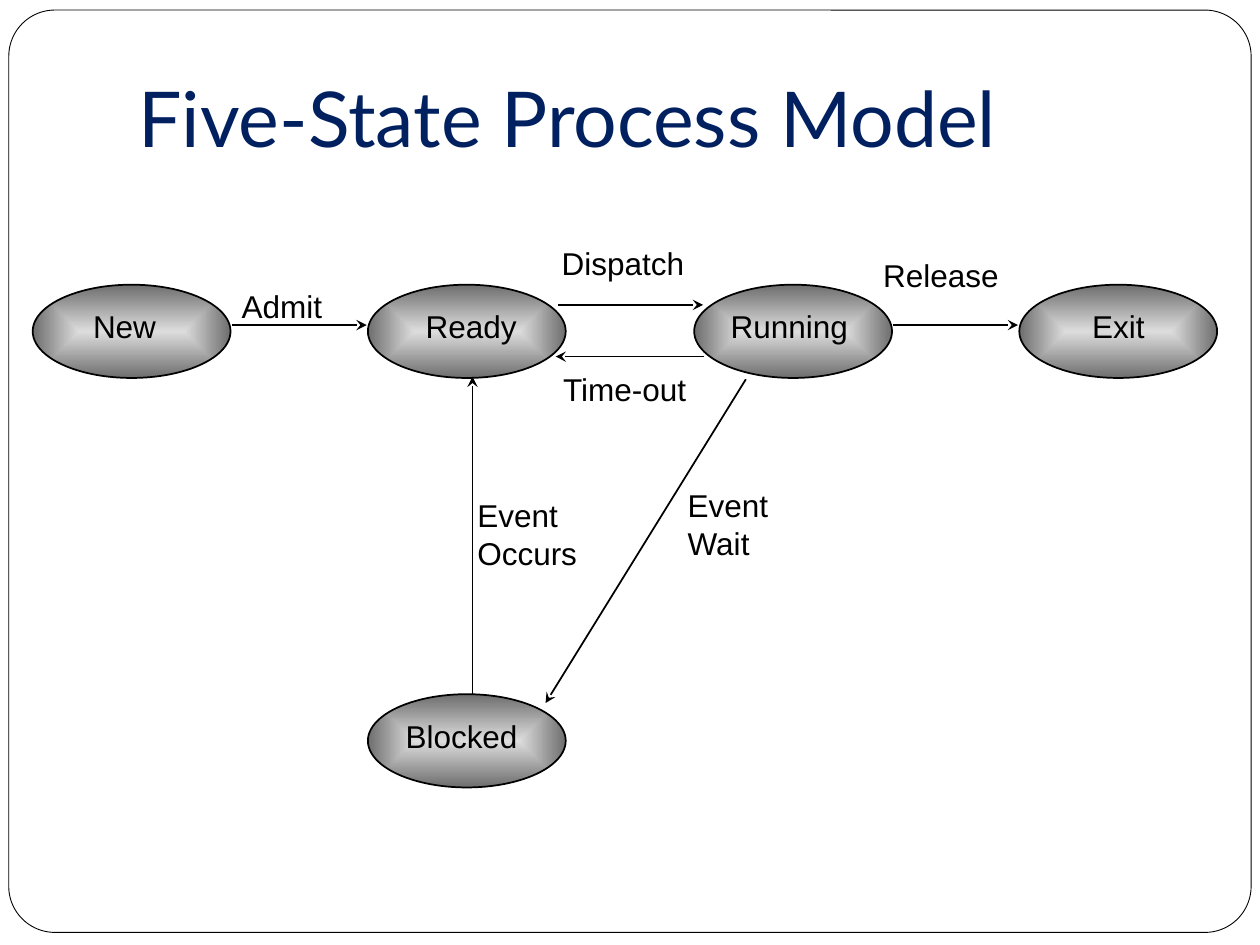
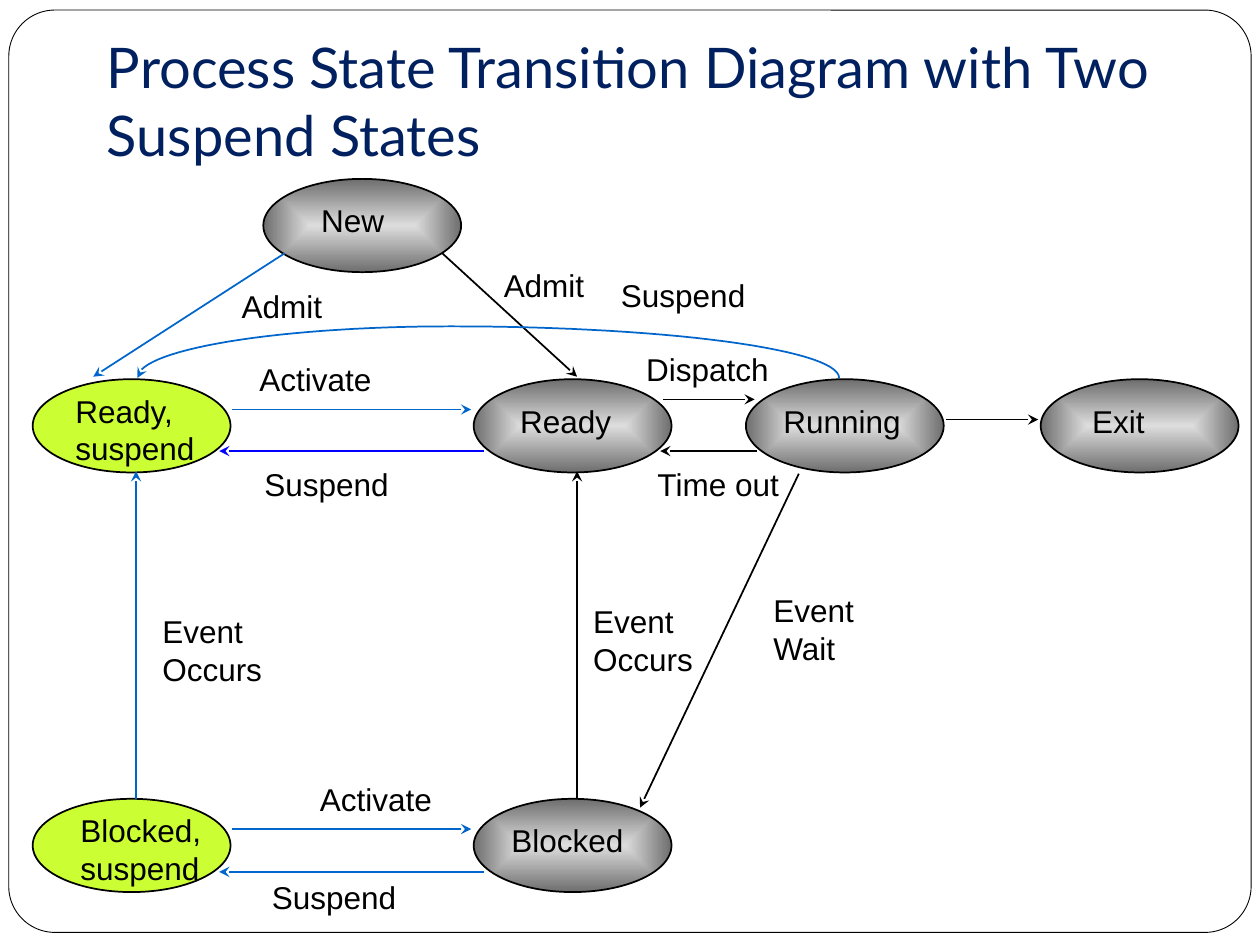
"""Builds two slides on process state models."""
import math

import pptx
import pptx.dml.color
import pptx.enum.shapes
import pptx.enum.text
import pptx.oxml
import pptx.oxml.ns
import pptx.util

SLIDE_WIDTH, SLIDE_HEIGHT = pptx.util.Inches(10), pptx.util.Inches(7.5)
COLUMNS, ROWS = 100, 75
STATE_WIDTH, STATE_HEIGHT = 15.7, 7.4
COLORS = {
    "paper": "FFFFFF",
    "ink": "000000",
    "title": "002060",
    "suspended": "CCFF33",
    "state_center": "DDDDDD",
    "state_edge": "6E6E6E",
    "suspend_flow": "0066CC",
    "ready_suspend_flow": "0000FF",
}
LABEL_WIDTHS = {
    "New": 7, "Ready": 9.2, "Running": 11.3, "Exit": 6.2, "Blocked": 10.9,
    "Ready,\nsuspend": 11.8, "Blocked,\nsuspend": 11.8, "Admit": 8.4,
    "Dispatch": 11.7, "Release": 11.2, "Time-out": 11.8, "Time out": 11.7,
    "Suspend": 11.9, "Activate": 10.9, "Event\nOccurs": 9.9, "Event\nWait": 8.4,
}


def across(columns):
    """Return the length of a number of grid columns."""
    return round(SLIDE_WIDTH * columns / COLUMNS)


def down(rows):
    """Return the length of a number of grid rows."""
    return round(SLIDE_HEIGHT * rows / ROWS)


def rgb(color):
    """Return a named colour of the palette."""
    return pptx.dml.color.RGBColor.from_string(COLORS[color])


def drawing_xml(tag, content=""):
    """Return a DrawingML element given by its opening tag and content."""
    name = tag.split()[0]
    namespace = pptx.oxml.ns.nsdecls("a")
    return pptx.oxml.parse_xml(f"<a:{tag} {namespace}>{content}</a:{name}>")


def add_text(slide, text, column, row, width, height, *, size=18, font="Arial",
             color="ink", wrap=False, anchor="TOP", fit="SHAPE_TO_FIT_TEXT"):
    """Add a text box with one paragraph for each line of text."""
    box = slide.shapes.add_textbox(across(column), down(row), across(width), down(height))
    frame = box.text_frame
    frame.word_wrap = wrap
    frame.auto_size = pptx.enum.text.MSO_AUTO_SIZE[fit]
    frame.vertical_anchor = pptx.enum.text.MSO_ANCHOR[anchor]
    frame.text = text
    for paragraph in frame.paragraphs:
        paragraph.font.size = pptx.util.Pt(size)
        paragraph.font.name = font
        paragraph.font.color.rgb = rgb(color)


def add_label(slide, text, column, row):
    """Add a diagram label sized for its words."""
    lines = text.count("\n") + 1
    add_text(slide, text, column, row, LABEL_WIDTHS[text], 1 + 3 * lines)


def add_outlined(slide, kind, column, row, width, height, line_width):
    """Add a preset shape with an ink outline and no shadow."""
    shape = slide.shapes.add_shape(
        pptx.enum.shapes.MSO_SHAPE[kind],
        across(column), down(row), across(width), down(height))
    shape.shadow.inherit = False
    shape.line.color.rgb = rgb("ink")
    shape.line.width = pptx.util.Pt(line_width)
    return shape


def fill_solid(shape, color):
    """Fill a shape with one colour."""
    shape.fill.solid()
    shape.fill.fore_color.rgb = rgb(color)


def fill_glow(shape):
    """Fill a shape with a gradient that darkens from centre to edge."""
    shape.fill.gradient()
    for stop, color in zip(shape.fill.gradient_stops, ("state_center", "state_edge")):
        stop.color.rgb = rgb(color)
    for position, stop in enumerate(shape.fill.gradient_stops):
        stop.position = position
    gradient = shape.element.spPr.find(pptx.oxml.ns.qn("a:gradFill"))
    center = '<a:fillToRect l="50000" t="50000" r="50000" b="50000"/>'
    gradient.replace(gradient.find(pptx.oxml.ns.qn("a:lin")),
                     drawing_xml('path path="rect"', center))


def add_state(slide, name, column, row, name_column, suspended=False):
    """Add a process state: an ellipse with its name."""
    ellipse = add_outlined(slide, "OVAL", column, row, STATE_WIDTH, STATE_HEIGHT, 1)
    if suspended:
        fill_solid(ellipse, "suspended")
    else:
        fill_glow(ellipse)
    add_label(slide, name, name_column, row + (0.5 if suspended else 1.3))


def style_flow(flow, color):
    """Give a line its colour, width and arrowhead."""
    flow.line.color.rgb = rgb(color)
    flow.line.width = pptx.util.Pt(1)
    outline = flow.element.spPr.find(pptx.oxml.ns.qn("a:ln"))
    outline.append(drawing_xml('tailEnd type="stealth"'))


def add_flow(slide, start, end, color="ink"):
    """Add a straight arrow between two grid points."""
    flow = slide.shapes.add_connector(
        pptx.enum.shapes.MSO_CONNECTOR.STRAIGHT,
        across(start[0]), down(start[1]), across(end[0]), down(end[1]))
    style_flow(flow, color)
    flow.element.spPr.append(drawing_xml("effectLst"))


def add_arched_flow(slide, start_column, peak_column, end_column, row, rise, color):
    """Add an arrow arching over the states as two quarter ellipses."""
    points = []
    for angle in range(0, 181, 3):
        reach = start_column if angle < 90 else end_column
        column = peak_column + abs(math.cos(math.radians(angle))) * (reach - peak_column)
        points.append((across(column), down(row - rise * math.sin(math.radians(angle)))))
    builder = slide.shapes.build_freeform(*points[0])
    builder.add_line_segments(points[1:], close=False)
    arch = builder.convert_to_shape()
    arch.shadow.inherit = False
    arch.fill.background()
    style_flow(arch, color)


def add_model_slide(deck, title, column, row, size):
    """Add a slide with the rounded frame and a title."""
    slide = deck.slides.add_slide(deck.slide_layouts[6])
    frame = add_outlined(slide, "ROUNDED_RECTANGLE", 0.7, 0.8, 98.6, 73.2, 0.5)
    frame.adjustments[0] = 0.05
    fill_solid(frame, "paper")
    add_text(slide, title, column, row, 85, 12.5, size=size, font="Lato",
             color="title", wrap=True, anchor="MIDDLE", fit="NONE")
    return slide


def add_diagram(slide, states, flows, labels):
    """Add the states, arrows and labels of a diagram."""
    for state in states:
        add_state(slide, *state)
    for flow in flows:
        add_flow(slide, *flow)
    for label in labels:
        add_label(slide, *label)


def build_five_state_model(deck):
    """Build the slide on the five-state model."""
    slide = add_model_slide(deck, "Five-State Process Model", 10, 3, 44)
    top = 22.6
    states = [
        ("New", 2.6, top, 6.4),
        ("Ready", 29.2, top, 32.8),
        ("Running", 55.1, top, 57),
        ("Exit", 80.9, top, 85.7),
        ("Blocked", 29.2, 55.1, 31.2),
    ]
    flows = [
        ((18.4, 25.8), (29.1, 25.8)),
        ((37.5, 55.1), (37.5, 29.9)),
        ((70.9, 25.8), (80.8, 25.8)),
        ((44.3, 24.2), (55.8, 24.2)),
        ((55.9, 28.3), (44.1, 28.3)),
        ((59.2, 30.1), (43.3, 55.8)),
    ]
    labels = [
        ("Admit", 18.2, 22.3),
        ("Event\nOccurs", 36.9, 38.9),
        ("Dispatch", 43.6, 18.9),
        ("Release", 69.1, 19.8),
        ("Time-out", 43.7, 28.9),
        ("Event\nWait", 53.6, 38.1),
    ]
    add_diagram(slide, states, flows, labels)


def build_suspend_model(deck):
    """Build the slide on the model with two suspend states."""
    slide = add_model_slide(
        deck, "Process State Transition Diagram with Two Suspend States", 7.5, 1.7, 32)
    middle, bottom = 30.1, 63.4
    states = [
        ("New", 20.9, 14.2, 24.5),
        ("Ready,\nsuspend", 2.6, middle, 5, True),
        ("Ready", 37.6, middle, 40.3),
        ("Running", 59.2, middle, 61.2),
        ("Exit", 82.6, middle, 85.7),
        ("Blocked,\nsuspend", 2.6, bottom, 5.4, True),
        ("Blocked", 37.6, bottom, 39.6),
    ]
    flows = [
        ((52.6, 31.7), (59.9, 31.7)),
        ((60.1, 35.8), (52.4, 35.8)),
        ((75.1, 33.3), (82.4, 33.3)),
        ((63.4, 37.6), (50.8, 64.1)),
        ((45.8, bottom), (45.8, 37.4)),
        ((35.1, 20.1), (45.8, 29.9)),
        ((22.6, 20.1), (7.4, 29.9), "suspend_flow"),
        ((10.8, bottom), (10.8, 37.4), "suspend_flow"),
        ((38.4, 35.8), (17.4, 35.8), "ready_suspend_flow"),
        ((38.4, 69.2), (17.4, 69.2), "suspend_flow"),
    ]
    flows += [((18.4, row), (37.4, row), "suspend_flow") for row in (32.5, 65.8)]
    labels = [
        ("Admit", 18.2, 22.3),
        ("Admit", 39, 20.6),
        ("Suspend", 48.3, 21.4),
        ("Dispatch", 50.3, 27.3),
        ("Time out", 51.2, 36.4),
        ("Activate", 19.6, 28.1),
        ("Suspend", 20, 36.4),
        ("Event\nOccurs", 11.9, 48.1),
        ("Event\nOccurs", 46.1, 47.3),
        ("Event\nWait", 60.4, 46.4),
        ("Activate", 24.4, 61.4),
        ("Suspend", 20.6, 69.2),
    ]
    add_diagram(slide, states, flows, labels)
    add_arched_flow(slide, 66.6, 35.8, 10.9, 30, 4.1, "suspend_flow")


def main():
    """Build and save the deck."""
    deck = pptx.Presentation()
    deck.slide_width, deck.slide_height = SLIDE_WIDTH, SLIDE_HEIGHT
    build_five_state_model(deck)
    build_suspend_model(deck)
    deck.save("out.pptx")


if __name__ == "__main__":
    main()
